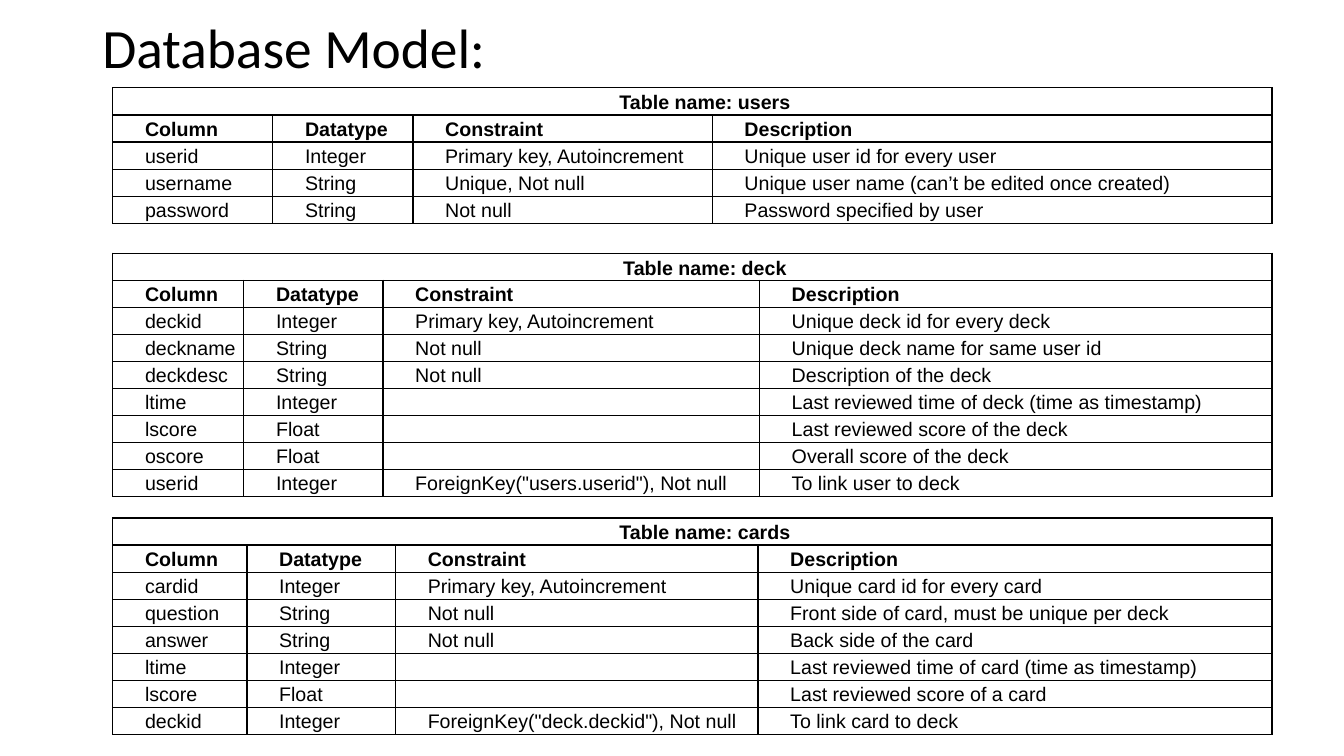
from lxml.etree import SubElement
from pptx import Presentation
from pptx.dml.color import RGBColor
from pptx.enum.text import MSO_ANCHOR, PP_ALIGN
from pptx.oxml.ns import qn
from pptx.util import Pt

MID, TOP = MSO_ANCHOR.MIDDLE, MSO_ANCHOR.TOP
LEFT, CENTER = PP_ALIGN.LEFT, PP_ALIGN.CENTER

COLORS = {"ink": "000000"}
TITLE = "Database Model:"
HEADS = ("Column", "Datatype", "Constraint", "Description")
TABLES = [
    {"name": "users", "top": 62.8, "widths": (114.3, 100.1, 213.8, 399.8), "rows": [
        ("userid", "Integer", "Primary key, Autoincrement", "Unique user id for every user"),
        ("username", "String", "Unique, Not null",
         "Unique user name (can’t be edited once created)"),
        ("password", "String", "Not null", "Password specified by user"),
    ]},
    {"name": "deck", "top": 180.8, "widths": (93.6, 99.4, 269, 366), "rows": [
        ("deckid", "Integer", "Primary key, Autoincrement", "Unique deck id for every deck"),
        ("deckname", "String", "Not null", "Unique deck name for same user id"),
        ("deckdesc", "String", "Not null", "Description of the deck"),
        ("ltime", "Integer", "", "Last reviewed time of deck (time as timestamp)"),
        ("lscore", "Float", "", "Last reviewed score of the deck"),
        ("oscore", "Float", "", "Overall score of the deck"),
        ("userid", "Integer", 'ForeignKey("users.userid"), Not null', "To link user to deck"),
    ]},
    {"name": "cards", "top": 370, "widths": (95.8, 106.2, 258.9, 367.1), "rows": [
        ("cardid", "Integer", "Primary key, Autoincrement", "Unique card id for every card"),
        ("question", "String", "Not null", "Front side of card, must be unique per deck"),
        ("answer", "String", "Not null", "Back side of the card"),
        ("ltime", "Integer", "", "Last reviewed time of card (time as timestamp)"),
        ("lscore", "Float", "", "Last reviewed score of a card"),
        ("deckid", "Integer", 'ForeignKey("deck.deckid"), Not null', "To link card to deck"),
    ]},
]
EDGE, ROW, SIZE = 80.6, 17.7, 14


def style(run, font, size, bold=False):
    run.font.name, run.font.size, run.font.bold = font, Pt(size), bold
    run.font.color.rgb = RGBColor.from_string(COLORS["ink"])


def frame(cell):
    """Rule all four sides of a cell and clear its fill."""
    props = cell._tc.get_or_add_tcPr()
    for side in ("lnL", "lnR", "lnT", "lnB"):
        line = SubElement(props, qn("a:" + side), w=str(Pt(1)))
        solid = SubElement(line, qn("a:solidFill"))
        SubElement(solid, qn("a:srgbClr"), val=COLORS["ink"])
    cell.fill.background()


def write(cell, text, bold, align, anchor):
    cell.margin_left = cell.margin_right = Pt(5)
    cell.margin_top = cell.margin_bottom = 0
    cell.vertical_anchor = anchor
    cell.text_frame.text = text
    para = cell.text_frame.paragraphs[0]
    para.alignment, para.line_spacing = align, 1.15
    props = para._p.get_or_add_pPr()
    props.set("marL", str(Pt(36)))
    props.set("indent", str(Pt(-18)))
    for run in para.runs:
        style(run, "Arial", SIZE, bold)
    if not text:
        # An empty cell needs its own text size to keep the row low
        SubElement(para._p, qn("a:endParaRPr"), sz=str(SIZE * 100))


def add_model(slide, model):
    lines = [("Table name: " + model["name"], "", "", ""), HEADS, *model["rows"]]
    widths = model["widths"]
    table = slide.shapes.add_table(
        len(lines), len(widths), Pt(EDGE), Pt(model["top"]),
        Pt(sum(widths)), Pt(ROW * len(lines))).table
    table.first_row = table.horz_banding = False
    for col, width in zip(table.columns, widths):
        col.width = Pt(width)
    for r, line in enumerate(lines):
        table.rows[r].height = Pt(ROW)
        align, anchor = (CENTER, MID) if r == 0 else (LEFT, TOP)
        for c, text in enumerate(line):
            cell = table.cell(r, c)
            write(cell, text, r < 2, align, anchor)
            frame(cell)
    table.cell(0, 0).merge(table.cell(0, len(widths) - 1))


def main():
    deck = Presentation()
    deck.slide_width, deck.slide_height = Pt(960), Pt(540)
    slide = deck.slides.add_slide(deck.slide_layouts[6])
    box = slide.shapes.add_textbox(Pt(66), Pt(10), Pt(828), Pt(52.6)).text_frame
    box.word_wrap, box.vertical_anchor = True, MID
    box.text = TITLE
    para = box.paragraphs[0]
    para.line_spacing = 0.9
    style(para.runs[0], "Calibri", 39.6)
    for model in TABLES:
        add_model(slide, model)
    deck.save("out.pptx")


if __name__ == "__main__":
    main()
